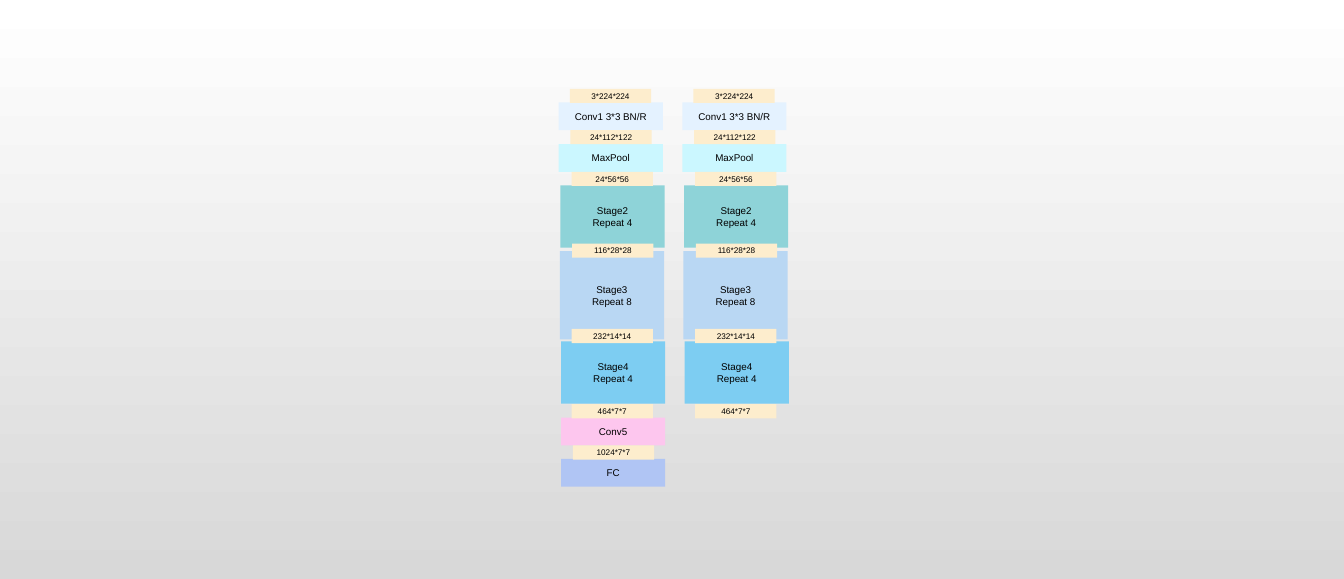
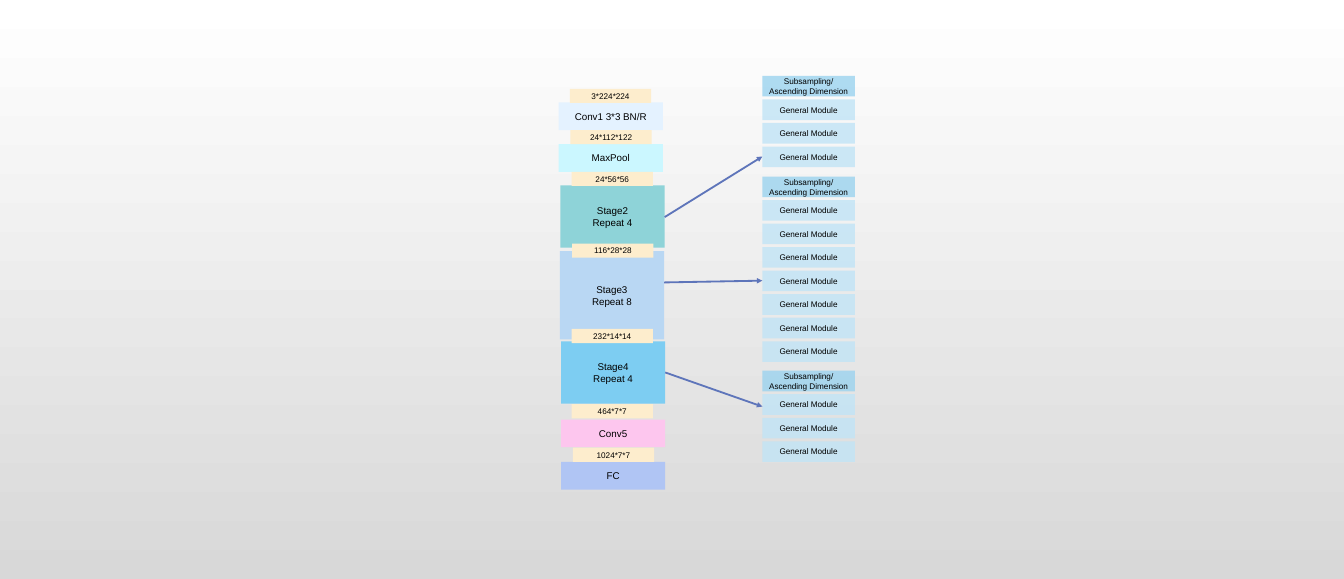
from lxml import etree
from pptx import Presentation
from pptx.dml.color import RGBColor
from pptx.enum.shapes import MSO_CONNECTOR, MSO_SHAPE
from pptx.enum.text import MSO_ANCHOR, PP_ALIGN
from pptx.oxml.ns import qn
from pptx.util import Pt

PX = 9144  # EMU per px, 100 px to the inch
FONT = "Arial"
BLACK, ARROW = "000000", "5E75BA"
SIZE_LABEL, SUBSAMPLING, MODULE = "FDEDCD", "9BD3EF", "C1E4F6"
BLOCK_W, BLOCK_H = 177, 47
LABEL_W, LABEL_H = 138, 24
MODULE_X, MODULE_W, MODULE_H, MODULE_PITCH = 1295, 157, 35, 40


def rgb(value):
    return RGBColor.from_string(value)


def box(s, x, y, w, h, fill, text, size, alpha=None):
    """Add a filled rectangle with one centred paragraph per line of text."""
    sp = s.shapes.add_shape(MSO_SHAPE.RECTANGLE, x * PX, y * PX, w * PX, h * PX)
    sp.shadow.inherit = False
    sp.line.fill.background()
    sp.fill.solid()
    sp.fill.fore_color.rgb = rgb(fill)
    if alpha:
        clr = sp.fill._xPr.find(".//" + qn("a:srgbClr"))
        etree.SubElement(clr, qn("a:alpha"), val=str(alpha * 1000))
    tf = sp.text_frame
    tf.word_wrap = True
    tf.vertical_anchor = MSO_ANCHOR.MIDDLE
    tf.margin_left = tf.margin_right = tf.margin_top = tf.margin_bottom = 10 * PX
    for i, line in enumerate(text.split("\n")):
        p = tf.add_paragraph() if i else tf.paragraphs[0]
        p.alignment = PP_ALIGN.CENTER
        r = p.add_run()
        r.text = line
        r.font.name = FONT
        r.font.size = Pt(size)
        r.font.color.rgb = rgb(BLACK)


prs = Presentation()
prs.slide_width, prs.slide_height = 2283 * PX, 984 * PX

# Shared background: white fading to grey
bg = prs.slide_master.background.fill
bg.gradient()
bg.gradient_angle = 270
for stop, color in zip(bg.gradient_stops, ("FFFFFF", "D8D8D8")):
    stop.color.rgb = rgb(color)

compare, detail = [prs.slides.add_slide(prs.slide_layouts[6]) for _ in range(2)]

# Network columns: x, y, height, colour, text
blocks = [
    (949, 174, BLOCK_H, "E4F2FF", "Conv1 3*3 BN/R"),
    (949, 245, BLOCK_H, "CBF7FF", "MaxPool"),
    (952, 315, 106, "8ED3D8", "Stage2\nRepeat 4"),
    (951, 427, 150, "B9D7F3", "Stage3\nRepeat 8"),
    (953, 580, 106, "7DCDF2", "Stage4\nRepeat 4"),
]
labels = [
    (968, 151, "3*224*224"),
    (969, 221, "24*112*122"),
    (971, 292, "24*56*56"),
    (972, 414, "116*28*28"),
    (971, 559, "232*14*14"),
    (971, 687, "464*7*7"),
]
# Slide, column offset, top of Conv5 (None: no head), extra gap in the head
columns = [(compare, 0, 710, 0), (compare, 210, None, 0), (detail, 0, 713, 1)]

for s, dx, conv5_y, gap in columns:
    column_blocks, column_labels = list(blocks), list(labels)
    if conv5_y:
        label_y = conv5_y + BLOCK_H + gap
        column_blocks += [
            (953, conv5_y, BLOCK_H, "FDC6EE", "Conv5"),
            (953, label_y + LABEL_H - 1 + gap, BLOCK_H, "B0C5F4", "FC"),
        ]
        column_labels.append((973, label_y, "1024*7*7"))
    for x, y, h, fill, text in column_blocks:
        box(s, x + dx, y, BLOCK_W, h, fill, text, 12)
    for x, y, text in column_labels:
        box(s, x + dx, y, LABEL_W, LABEL_H, SIZE_LABEL, text, 10)

# Modules inside each stage: top of the stack, number of modules
for top, count in [(129, 4), (300, 8), (630, 4)]:
    for i in range(count):
        fill, text = (MODULE, "General Module") if i else (SUBSAMPLING, "Subsampling/\nAscending Dimension")
        box(detail, MODULE_X, top + i * MODULE_PITCH, MODULE_W, MODULE_H, fill, text, 10, alpha=80)

# Arrows from each stage to its modules
for x, y, end_y in [(1129, 369, 266), (1128, 480, 477), (1130, 633, 691)]:
    cn = detail.shapes.add_connector(MSO_CONNECTOR.STRAIGHT, x * PX, y * PX, MODULE_X * PX, end_y * PX)
    cn.line.color.rgb = rgb(ARROW)
    cn.line.width = Pt(2.25)
    etree.SubElement(cn.line._get_or_add_ln(), qn("a:tailEnd"), type="triangle")
    etree.SubElement(cn._element.spPr, qn("a:effectLst"))

prs.save("out.pptx")
